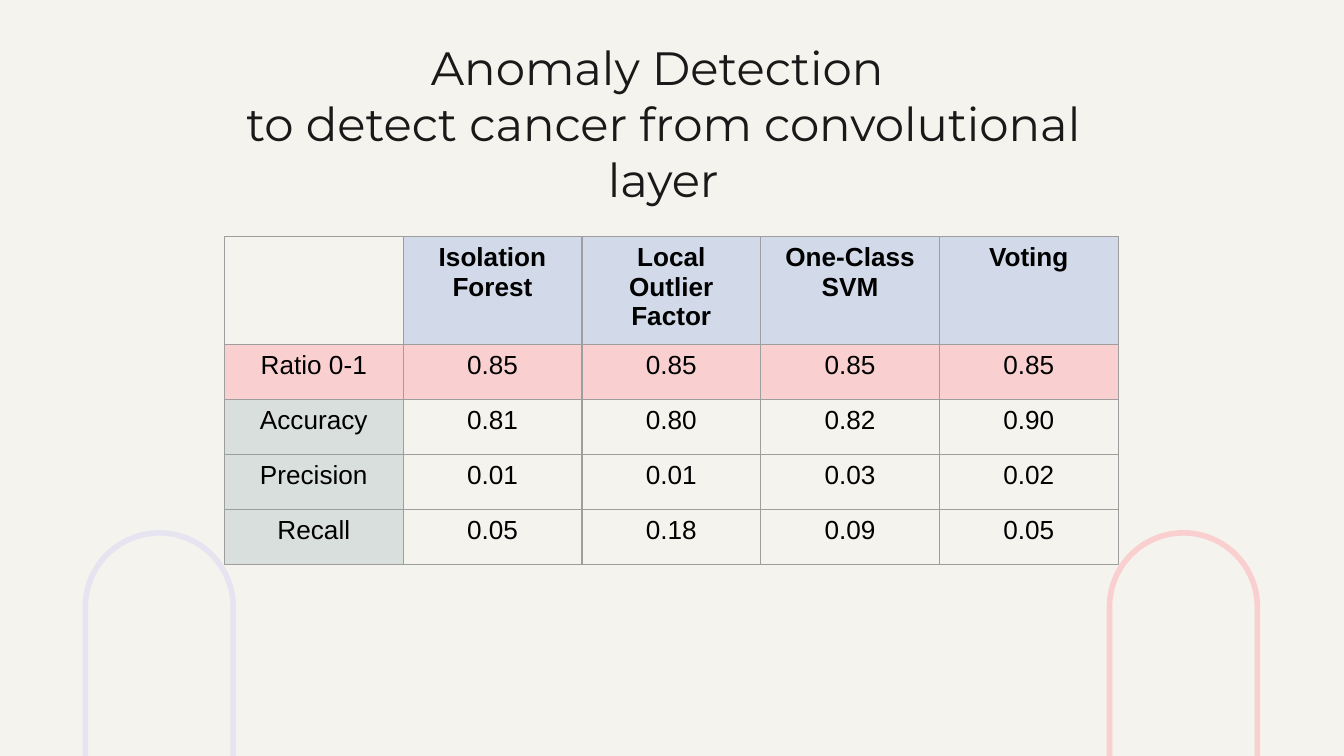
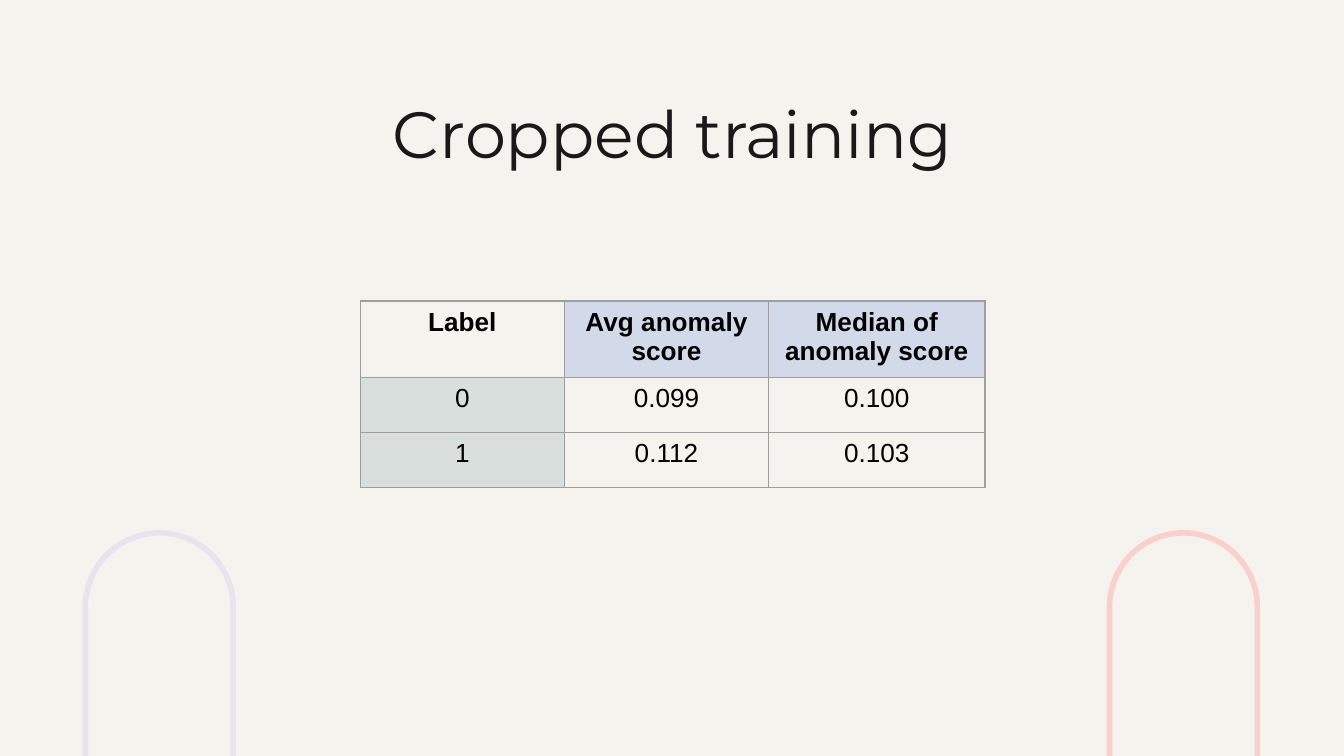
"""Build two slides of anomaly detection results, each with a title and a table."""
from dataclasses import dataclass

from lxml import etree
from pptx import Presentation
from pptx import util as u
from pptx.dml.color import RGBColor
from pptx.enum import shapes, text
from pptx.oxml import ns


@dataclass(frozen=True)
class Theme:
    paper: str = "F5F3ED"
    ink: str = "191919"
    black: str = "000000"
    lilac: str = "E7E4F1"
    pink: str = "F9CFD0"
    blue: str = "D2DAE9"
    sage: str = "D9DFDD"
    grid: str = "9E9E9E"
    title_font: str = "Montserrat"
    body_font: str = "Arial"
    body_size: int = 14
    grid_width: float = 0.75
    arch_width: int = 3


T = Theme()

SLIDES = [
    {
        "title": ["Anomaly Detection ", "to detect cancer from convolutional layer"],
        "title_size": 25,
        "title_box": (1.36, 0.19, 7.15, 0.63),
        "table_box": (1.67, 1.76, 6.67, 2.42),
        "cols": [1.33] * 5,
        "highlight": 1,
        "rows": [
            ["", "Isolation Forest", "Local Outlier Factor", "One-Class SVM", "Voting"],
            ["Ratio 0-1", "0.85", "0.85", "0.85", "0.85"],
            ["Accuracy", "0.81", "0.80", "0.82", "0.90"],
            ["Precision", "0.01", "0.01", "0.03", "0.02"],
            ["Recall", "0.05", "0.18", "0.09", "0.05"],
        ],
    },
    {
        "title": ["Cropped training"],
        "title_size": 35,
        "title_box": (0.79, 0.59, 8.43, 0.63),
        "table_box": (2.68, 2.24, 4.65, 1.38),
        "cols": [1.52, 1.52, 1.61],
        "highlight": None,
        "rows": [
            ["Label", "Avg anomaly score", "Median of anomaly score"],
            ["0", "0.099", "0.100"],
            ["1", "0.112", "0.103"],
        ],
    },
]

ARCHES = [(-0.21, T.lilac), (7.41, T.pink)]
ARCH_TOP, ARCH_LENGTH, ARCH_SPAN = 4.81, 2.79, 1.1
ROW_HEIGHT = 0.41


def rgb(color):
    return RGBColor.from_string(color)


def add_run(p, words, font, size, color, bold=False):
    r = p.add_run()
    r.text = words
    r.font.name = font
    r.font.size = u.Pt(size)
    r.font.color.rgb = rgb(color)
    r.font.bold = bold


def add_arches(s):
    for left, color in ARCHES:
        sp = s.shapes.add_shape(
            shapes.MSO_SHAPE.ROUNDED_RECTANGLE,
            *map(u.Inches, (left, ARCH_TOP, ARCH_LENGTH, ARCH_SPAN)))
        sp.adjustments[0] = 0.5
        sp.rotation = 90
        sp.shadow.inherit = False
        sp.fill.background()
        sp.line.color.rgb = rgb(color)
        sp.line.width = u.Pt(T.arch_width)


def add_title(s, lines, size, box):
    tf = s.shapes.add_textbox(*map(u.Inches, box)).text_frame
    tf.word_wrap = True
    tf.vertical_anchor = text.MSO_ANCHOR.TOP
    tf.margin_left = tf.margin_right = tf.margin_top = tf.margin_bottom = u.Inches(0.1)
    p = tf.paragraphs[0]
    p.alignment = text.PP_ALIGN.CENTER
    for i, line in enumerate(lines):
        if i:
            p.add_line_break()
        add_run(p, line, T.title_font, size, T.ink)


def add_borders(cell):
    props = cell._tc.get_or_add_tcPr()
    for side in ("lnL", "lnR", "lnT", "lnB"):
        line = etree.SubElement(props, ns.qn(f"a:{side}"), w=str(u.Pt(T.grid_width)))
        fill = etree.SubElement(line, ns.qn("a:solidFill"))
        etree.SubElement(fill, ns.qn("a:srgbClr"), val=T.grid)


def cell_fill(row, col, highlight):
    if row == highlight:
        return T.pink
    if row == 0 and col > 0:
        return T.blue
    if row > 0 and col == 0:
        return T.sage
    return None


def add_table(s, rows, cols, box, highlight):
    frame = s.shapes.add_table(len(rows), len(cols), *map(u.Inches, box))
    table = frame.table
    table.first_row = table.horz_banding = False
    for column, width in zip(table.columns, cols):
        column.width = u.Inches(width)
    for i, row in enumerate(rows):
        table.rows[i].height = u.Inches(ROW_HEIGHT)
        for j, words in enumerate(row):
            cell = table.cell(i, j)
            add_borders(cell)
            color = cell_fill(i, j, highlight)
            if color:
                cell.fill.solid()
                cell.fill.fore_color.rgb = rgb(color)
            else:
                cell.fill.background()
            if words:
                p = cell.text_frame.paragraphs[0]
                p.alignment = text.PP_ALIGN.CENTER
                add_run(p, words, T.body_font, T.body_size, T.black, bold=i == 0)
    frame.width, frame.height = map(u.Inches, box[2:])


def main():
    prs = Presentation()
    prs.slide_width = u.Inches(10)
    prs.slide_height = prs.slide_width * 9 // 16
    for data in SLIDES:
        s = prs.slides.add_slide(prs.slide_layouts[6])
        s.background.fill.solid()
        s.background.fill.fore_color.rgb = rgb(T.paper)
        add_arches(s)
        add_title(s, data["title"], data["title_size"], data["title_box"])
        add_table(s, data["rows"], data["cols"], data["table_box"], data["highlight"])
    prs.save("out.pptx")


if __name__ == "__main__":
    main()
